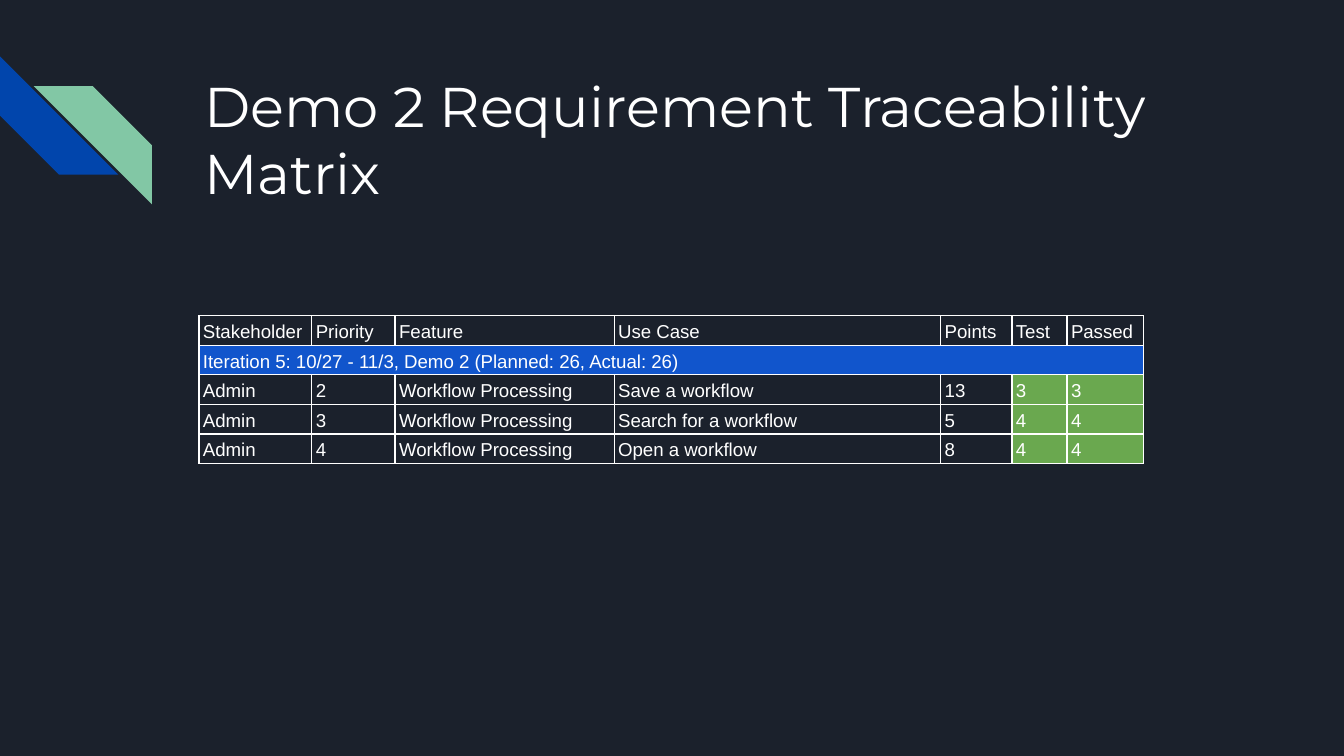
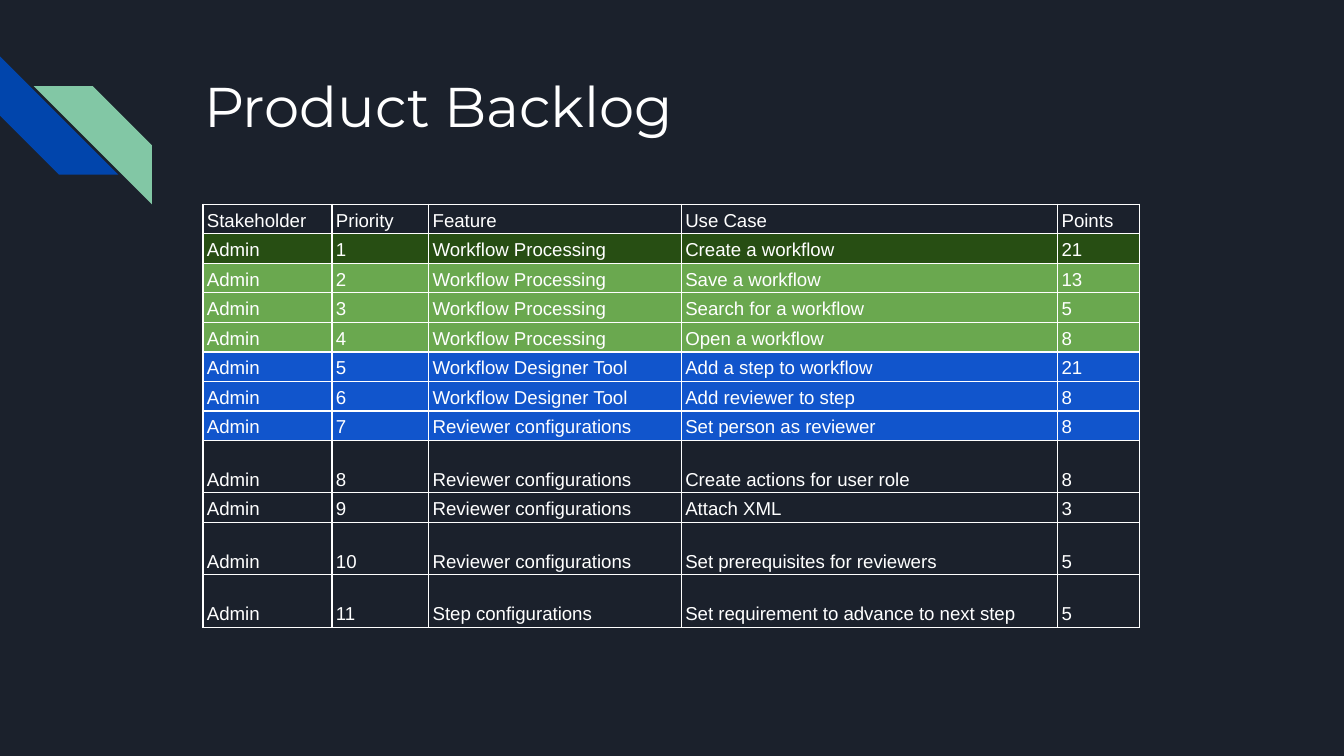
from lxml.etree import SubElement
from pptx import Presentation
from pptx.dml.color import RGBColor
from pptx.enum.shapes import MSO_SHAPE as Preset
from pptx.enum.text import MSO_ANCHOR as Anchor
from pptx.oxml.ns import qn
from pptx.util import Inches, Pt

NAVY, WHITE = "1B212C", "FFFFFF"
STRIPE_BLUE, STRIPE_MINT = "0145AC", "82C7A5"
DONE, PASSED, CURRENT = "274E13", "6AA84F", "1155CC"
BORDER_WIDTH = Pt(0.75)
ROW, TALL_ROW = 0.22, 0.39


def color(hex_text):
    return RGBColor.from_string(hex_text)


def style_text(para, font, size):
    for span in para.runs:
        span.font.name = font
        span.font.size = Pt(size)
        span.font.color.rgb = color(WHITE)


def add_stripes(page, left, top, size=0.88):
    """Two interlocking diagonal stripes, the second set right and down."""
    for dx, dy, turn, fill in ((0, 0, 270, STRIPE_BLUE),
                               (0.25, 0.22, 90, STRIPE_MINT)):
        stripe = page.shapes.add_shape(
            Preset.DIAGONAL_STRIPE, Inches(left + dx), Inches(top + dy),
            Inches(size), Inches(size))
        stripe.adjustments[0] = 0.5
        stripe.rotation = turn
        stripe.shadow.inherit = False
        stripe.fill.solid()
        stripe.fill.fore_color.rgb = color(fill)
        stripe.line.fill.background()


def add_title(page, text, left, top, width, height):
    box = page.shapes.add_textbox(
        Inches(left), Inches(top), Inches(width), Inches(height))
    frame = box.text_frame
    frame.word_wrap = True
    frame.margin_left = frame.margin_right = Inches(0.1)
    frame.margin_top = frame.margin_bottom = Inches(0.1)
    frame.text = text
    style_text(frame.paragraphs[0], "Montserrat", 30)


def add_borders(cell):
    props = cell._tc.get_or_add_tcPr()
    for side in ("a:lnL", "a:lnR", "a:lnT", "a:lnB"):
        line = SubElement(props, qn(side), w=str(BORDER_WIDTH))
        fill = SubElement(line, qn("a:solidFill"))
        SubElement(fill, qn("a:srgbClr"), val=WHITE)


def fill_cell(cell, text, fill):
    cell.vertical_anchor = Anchor.BOTTOM
    cell.margin_left = cell.margin_right = Inches(0.03)
    # No top margin, so that the line fits the low rows
    cell.margin_top, cell.margin_bottom = 0, Inches(0.02)
    add_borders(cell)
    if fill:
        cell.fill.solid()
        cell.fill.fore_color.rgb = color(fill)
    else:
        cell.fill.background()
    cell.text_frame.text = text
    para = cell.text_frame.paragraphs[0]
    para.line_spacing = 1.15
    style_text(para, "Arial", 10)


def add_grid(page, left, top, widths, heights, rows, fill_for):
    """A bordered table; a row with a single text spans every column."""
    table = page.shapes.add_table(
        len(rows), len(widths), Inches(left), Inches(top),
        Inches(sum(widths)), Inches(sum(heights))).table
    table.first_row = table.horz_banding = False
    for column, width in zip(table.columns, widths):
        column.width = Inches(width)
    for r, (texts, height) in enumerate(zip(rows, heights)):
        table.rows[r].height = Inches(height)
        padded = list(texts) + [""] * (len(widths) - len(texts))
        for c, text in enumerate(padded):
            fill_cell(table.cell(r, c), text, fill_for(r, c))
        if len(texts) == 1:
            table.cell(r, 0).merge(table.cell(r, len(widths) - 1))


def add_page(deck, title, title_height):
    page = deck.slides.add_slide(deck.slide_layouts[6])
    add_stripes(page, 0, 0.42)
    add_title(page, title, 1.42, 0.43, 7.7, title_height)
    return page


HEADER = ("Stakeholder", "Priority", "Feature", "Use Case", "Points")


def build_matrix(deck):
    page = add_page(deck, "Demo 2 Requirement Traceability Matrix", 1)
    processing = "Workflow Processing"
    rows = [
        HEADER + ("Test", "Passed"),
        ("Iteration 5: 10/27 - 11/3, Demo 2 (Planned: 26, Actual: 26)",),
        ("Admin", "2", processing, "Save a workflow", "13", "3", "3"),
        ("Admin", "3", processing, "Search for a workflow", "5", "4", "4"),
        ("Admin", "4", processing, "Open a workflow", "8", "4", "4"),
    ]

    def fill_for(r, c):
        if r == 1:
            return CURRENT
        return PASSED if r > 1 and c > 4 else None

    add_grid(page, 1.48, 2.35, (0.84, 0.62, 1.63, 2.43, 0.53, 0.41, 0.57),
             [ROW] * len(rows), rows, fill_for)


def build_backlog(deck):
    page = add_page(deck, "Product Backlog", 0.62)
    # Feature, use case, points, row fill, row height; priority is the order
    stories = [
        ("Workflow Processing", "Create a workflow", "21", DONE, ROW),
        ("Workflow Processing", "Save a workflow", "13", PASSED, ROW),
        ("Workflow Processing", "Search for a workflow", "5", PASSED, ROW),
        ("Workflow Processing", "Open a workflow", "8", PASSED, ROW),
        ("Workflow Designer Tool", "Add a step to workflow", "21", CURRENT, ROW),
        ("Workflow Designer Tool", "Add reviewer to step", "8", CURRENT, ROW),
        ("Reviewer configurations", "Set person as reviewer", "8", CURRENT, ROW),
        ("Reviewer configurations", "Create actions for user role", "8",
         None, TALL_ROW),
        ("Reviewer configurations", "Attach XML", "3", None, ROW),
        ("Reviewer configurations", "Set prerequisites for reviewers", "5",
         None, TALL_ROW),
        ("Step configurations", "Set requirement to advance to next step", "5",
         None, TALL_ROW),
    ]
    rows = [HEADER] + [("Admin", str(priority)) + story[:3]
                       for priority, story in enumerate(stories, 1)]
    fills = [None] + [story[3] for story in stories]
    heights = [ROW] + [story[4] for story in stories]
    add_grid(page, 1.51, 1.52, (0.96, 0.72, 1.88, 2.8, 0.61),
             heights, rows, lambda r, c: fills[r])


def main():
    deck = Presentation()
    # Widescreen, 16 by 9
    deck.slide_width = Inches(10)
    deck.slide_height = deck.slide_width * 9 // 16
    # Shared dark background
    backdrop = deck.slide_master.background.fill
    backdrop.solid()
    backdrop.fore_color.rgb = color(NAVY)
    build_matrix(deck)
    build_backlog(deck)
    deck.save("out.pptx")


if __name__ == "__main__":
    main()
